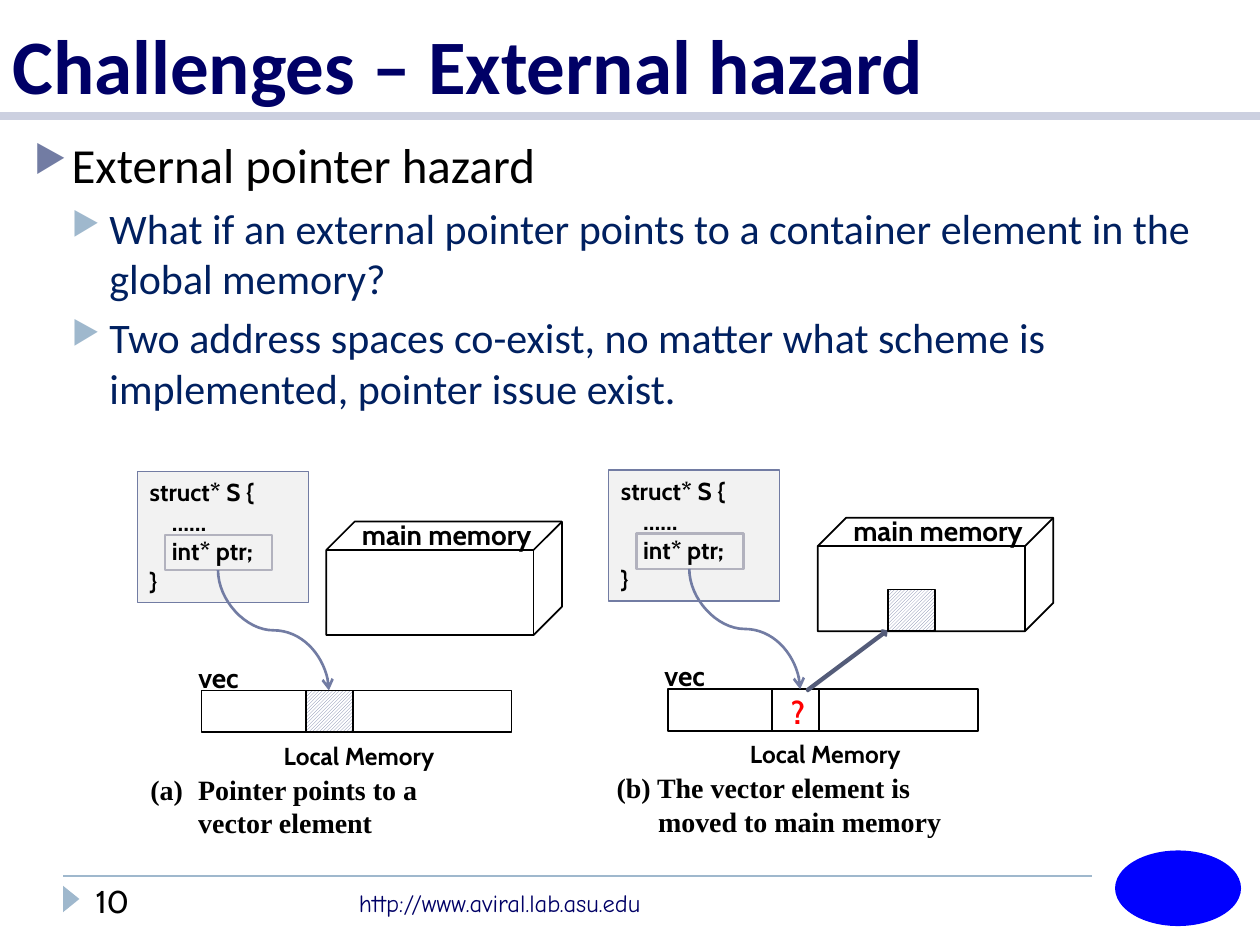
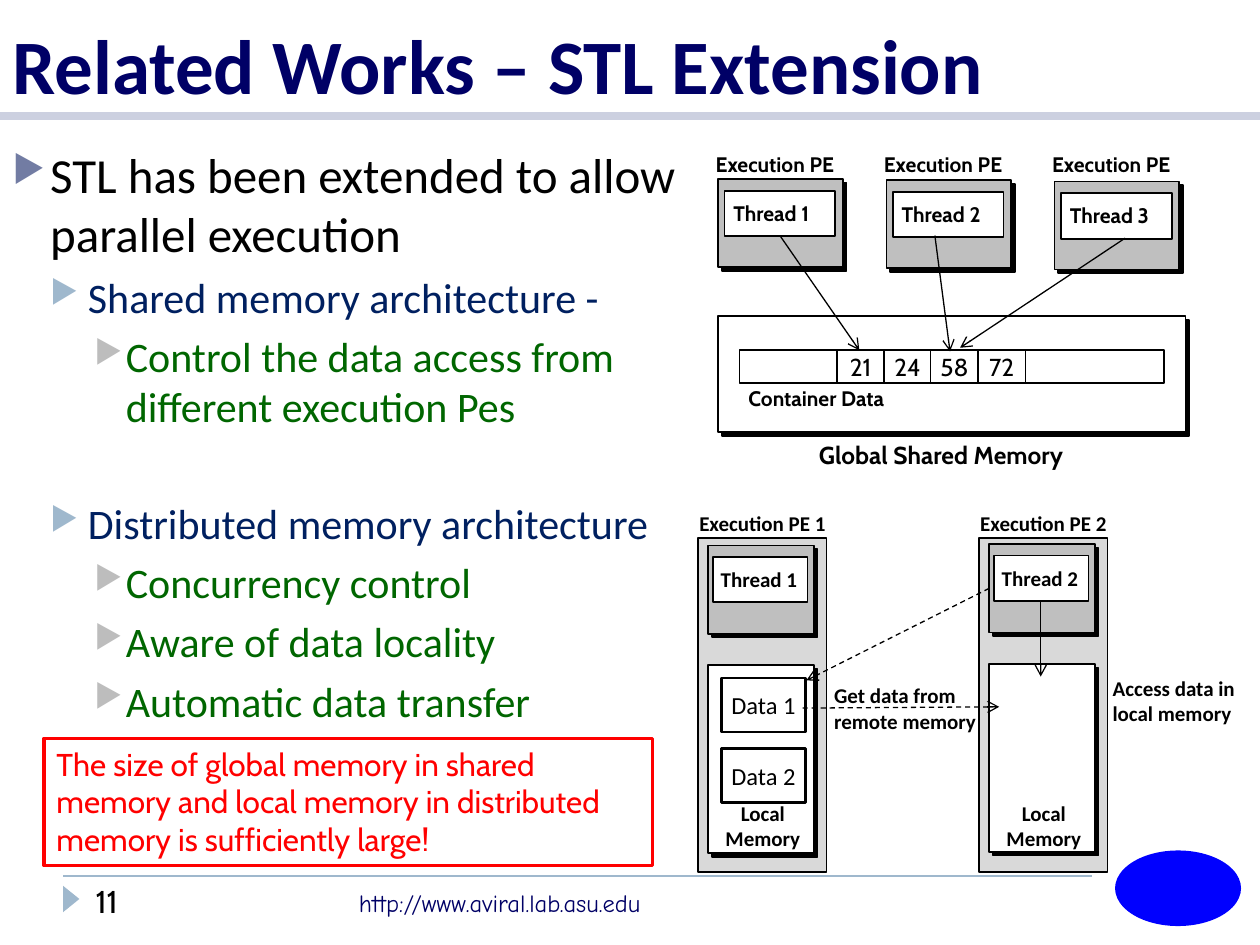
from lxml import etree
from pptx import Presentation
from pptx import util as u
from pptx.dml.color import RGBColor
from pptx.enum import dml, shapes, text
from pptx.oxml.ns import qn

deck = Presentation()
deck.slide_width, deck.slide_height = u.Inches(10), u.Inches(7.5)
COL, ROW = deck.slide_width / 100, deck.slide_height / 75  # grid of 100 x 75
hue = RGBColor.from_string
FORM, MID, LOW = shapes.MSO_SHAPE, text.MSO_ANCHOR.MIDDLE, text.MSO_ANCHOR.BOTTOM
BOX = FORM.RECTANGLE
BLACK, WHITE, NAVY, SLATE, MIST, RED = "000000", "FFFFFF", "000066", "727CA3", "9FB8CD", "FF0000"
GRAY, PALE = "BFBFBF", "D9D9D9"
# level: left edge, hang, space before, bullet colour, size, text colour
LEVELS = [(3, 3, 6, SLATE, 28, BLACK),
          (6, 3, 5, MIST, 24, "002060"),
          (9, 2.5, 5, "BDBDBD", 24, "006600")]


def put(x, y, w, h, lines=(), size=12, font="Cabin", ink=BLACK, bold=False, mid=False,
        form=None, fill=None, line=BLACK, thick=1, flush=False, anchor=text.MSO_ANCHOR.TOP,
        hatch=False, shade=False):
    """Place a text box, or a preset shape when form is given, by grid cells."""
    spot = [int(x * COL), int(y * ROW), int(w * COL), int(h * ROW)]
    if form is None:
        part = page.shapes.add_textbox(*spot)
    else:
        part = page.shapes.add_shape(form, *spot)
        part.shadow.inherit = False
        if hatch:
            part.fill.patterned()
            part.fill.pattern = dml.MSO_PATTERN.LIGHT_UPWARD_DIAGONAL
            part.fill.fore_color.rgb, part.fill.back_color.rgb = hue(SLATE), hue(WHITE)
        elif fill:
            part.fill.solid()
            part.fill.fore_color.rgb = hue(fill)
        else:
            part.fill.background()
        if line:
            part.line.color.rgb, part.line.width = hue(line), u.Pt(thick)
        else:
            part.line.fill.background()
        if shade:
            glow = etree.SubElement(part._element.spPr.find(qn("a:effectLst")), qn("a:outerShdw"),
                                    blurRad="0", dist="38100", dir="2700000", algn="tl", rotWithShape="0")
            etree.SubElement(glow, qn("a:srgbClr"), val=BLACK)
    frame = part.text_frame
    frame.word_wrap, frame.vertical_anchor = True, anchor
    if flush:
        frame.margin_left = frame.margin_right = frame.margin_top = frame.margin_bottom = 0
    for i, words in enumerate(lines):
        para = frame.add_paragraph() if i else frame.paragraphs[0]
        para.alignment = text.PP_ALIGN.CENTER if mid else text.PP_ALIGN.LEFT
        run = para.add_run()
        run.text = words
        run.font.size, run.font.name, run.font.bold = u.Pt(size), font, bold
        run.font.color.rgb = hue(ink)
    return part


def link(x1, y1, x2, y2, ink=BLACK, thick=0.75, tip=True, dash=False, curve=False):
    """Draw a line; a curve leaves and arrives vertically."""
    kind = shapes.MSO_CONNECTOR.STRAIGHT
    if curve:  # lay it out a quarter turn away, then rotate back
        kind = shapes.MSO_CONNECTOR.CURVE
        cx, cy, dx, dy = (x1 + x2) / 2, (y1 + y2) / 2, (x2 - x1) / 2, (y2 - y1) / 2
        x1, y1, x2, y2 = cx + dy, cy - dx, cx - dy, cy + dx
    wire = page.shapes.add_connector(kind, int(x1 * COL), int(y1 * ROW), int(x2 * COL), int(y2 * ROW))
    wire.line.color.rgb, wire.line.width = hue(ink), u.Pt(thick)
    if curve:
        wire._element.spPr.xfrm.set("rot", "16200000")
    if dash:
        wire.line.dash_style = dml.MSO_LINE.DASH
    if tip:
        etree.SubElement(wire.line._get_or_add_ln(), qn("a:tailEnd"), type="arrow")
    etree.SubElement(wire._element.spPr, qn("a:effectLst"))


# Shared frame, title and bullets; a bullet is (level, words, extra space before)
TALKS = [
    ("10", "Challenges – External hazard", (1.7, 10.2, 95.9, 24.8), [
        (0, "External pointer hazard", 0),
        (1, "What if an external pointer points to a container element in the global memory?", 0),
        (1, "Two address spaces co-exist, no matter what scheme is implemented, pointer issue exist.", 0)]),
    ("11", "Related Works – STL Extension", (0, 11, 56.6, 48.4), [
        (0, "STL has been extended to allow parallel execution", 0),
        (1, "Shared memory architecture -", 0),
        (2, "Control the data access from different execution Pes", 0),
        (1, "Distributed memory architecture", 33),
        (2, "Concurrency control", 0),
        (2, "Aware of data locality", 0),
        (2, "Automatic data transfer", 0)])]
for num, title, area, points in TALKS:
    page = deck.slides.add_slide(deck.slide_layouts[6])
    link(5, 69.5, 86.7, 69.5, MIST, 1, tip=False)
    link(0, 9.2, 100, 9.2, "CCD0E0", 5, tip=False)
    put(4.6, 70.7, 2.1, 1.3, form=FORM.ISOSCELES_TRIANGLE, fill=MIST, line=None).rotation = 90
    put(27.5, 70, 29.2, 3.4, ["http://www.aviral.lab.asu.edu"], 14, "Comic Neue", NAVY)
    put(88.5, 67.5, 10, 6, form=FORM.OVAL, fill="0000FF", line=None)
    put(0, 0, 100, 9.2, [title], 44, "Calibri", NAVY, True, anchor=LOW)
    put(6.6, 69.5, 14.1, 4, [num], 18)
    body = put(*area).text_frame
    for i, (level, words, extra) in enumerate(points):
        left, hang, gap, dot, size, ink = LEVELS[level]
        para = body.add_paragraph() if i else body.paragraphs[0]
        para.level = level
        props = para._p.get_or_add_pPr()
        props.set("marL", str(int(left * COL)))
        props.set("indent", str(int(-hang * COL)))
        etree.SubElement(etree.SubElement(props, qn("a:buClr")), qn("a:srgbClr"), val=dot)
        etree.SubElement(props, qn("a:buSzPct"), val="76000")
        etree.SubElement(props, qn("a:buChar"), char="▶")
        if i:
            para.space_before = u.Pt(gap + extra)
        run = para.add_run()
        run.text = words
        run.font.size, run.font.name, run.font.color.rgb = u.Pt(size), "Calibri", hue(ink)

# External hazard: two panels, each with struct, vector and main memory
page = deck.slides[0]
CODE = ["struct* S {", "    ……", "    int* ptr;", "}"]
PANELS = [
    (10.9, 37.4, 16, 54.8, 25.9, 41.4, 3.8, ["Pointer points to a", "vector element"]),
    (48.3, 37.3, 53, 54.7, 64.9, 41.1, 3.3, ["(b) The vector element is", "moved to main memory"])]
for i, (sx, sy, vx, vy, mx, my, hang, note) in enumerate(PANELS):
    put(vx + 8.3, vy, 3.7, 3.3, form=BOX, hatch=not i)
    put(vx, vy, 24.6, 3.3, form=BOX)
    put(vx - 1.25, vy - 2.9, 5.8, 3.7, ["vec"], 16, bold=True)
    put(vx + 1.1, vy + 3.5, 22.8, 3.4, ["Local Memory"], 14, bold=True, mid=True)
    put(mx, my, 18.7, 9, form=FORM.CUBE)
    put(mx + 0.5, my - 0.8, 18.1, 3.7, ["main memory"], 16, bold=True, mid=True)
    label = put(vx - 5.05, vy + 6, 35.6, 6.4, note, 16, "Times New Roman", bold=True)
    for para, shift in zip(label.text_frame.paragraphs, (-hang, 0)):
        props = para._p.get_or_add_pPr()
        props.set("marL", str(int(hang * COL)))
        props.set("indent", str(int(shift * COL)))
        if shift and not i:
            etree.SubElement(props, qn("a:buAutoNum"), type="alphaLcParenBoth")
    put(sx, sy, 13.6, 10.4, CODE, 14, bold=True, form=BOX, fill="F2F2F2", line=SLATE, thick=0.75)
    put(sx + 2.2, sy + 5.05, 8.5, 2.8, form=BOX, line="B2B2BE", thick=1.5)
    link(sx + 6.4, sy + 7.85, sx + 15.2, vy, SLATE, 1.5, curve=True)
put(61.8, 54.5, 3.2, 4, ["?"], 18, ink=RED, bold=True)
put(70.5, 46.8, 3.7, 3.3, form=BOX, hatch=True)
move = put(63.3, 52.2, 7.8, 0.5, form=FORM.RIGHT_ARROW, fill="464653", line="545C79", thick=1.5)
move.adjustments[0], move.adjustments[1] = 0.26, 0.41
move.rotation = 323.2

# Shared memory: three threads over one container
page = deck.slides[1]
for i in range(3):
    x, y = 57 + 13.35 * i, 14.2 + 0.1 * i
    put(x, y, 9.9, 7, form=BOX, fill=GRAY, shade=True)
    put(x + 0.5, y + 0.95, 8.8, 3.6, form=BOX, fill=WHITE)
    put(x + 1.2, y + 1.7, 7.9, 2, [f"Thread {i + 1}"], bold=True, flush=True)
    put(x - 0.2, 12, 10.7, 2, ["Execution PE"], bold=True, flush=True)
put(57, 25.1, 37.1, 9.2, form=BOX, fill=WHITE, shade=True)
put(58.7, 27.8, 33.7, 2.6, form=BOX, fill=WHITE)
for i, value in enumerate(["21", "24", "58", "72"]):
    put(66.4 + 3.73 * i, 27.8, 3.8, 2.6, [value], 14, mid=True, form=BOX, fill=WHITE,
        flush=True, anchor=MID)
put(65, 34.9, 24.3, 2.4, ["Global Shared Memory"], 14, bold=True, flush=True)
put(59.4, 30.6, 24.3, 2, ["Container Data"], bold=True, flush=True)
for ends in [(61.9, 18.7, 68.2, 27.8), (74.2, 18.7, 75.4, 27.9), (89.3, 18.9, 76.2, 27.6)]:
    link(*ends)

# Distributed memory: two elements with a thread and a local memory each
for i, x in enumerate([55.4, 77.7]):
    top = 43.3 - 0.1 * i
    put(x, 42.7, 10.2, 26.5, form=BOX, fill=PALE)
    put(x + 0.8, top, 8.4, 7, form=BOX, fill=GRAY, shade=True)
    put(x + 1.2, top + 0.9, 7.5, 3.6, form=BOX, fill=WHITE)
    put(x + 1.8, top + 1.7, 6.7, 2, [f"Thread {i + 1}"], font="Calibri", bold=True, flush=True)
    put(x + 0.1, 40.5, 10.3, 2, [f"Execution PE {i + 1}"], font="Calibri", bold=True, flush=True)
    put(x + 0.8, top + 9.5, 8.4, 14.9, form=BOX, fill=WHITE, shade=True)
    put(x + 1.85, 63.5, 6.6, 4, ["Local Memory"], font="Calibri", bold=True, mid=True, flush=True)
    put(57.25, 53.8 + 5.6 * i, 6.7, 4.3, [f"Data {i + 1}"], 14, "Calibri", mid=True,
        form=BOX, thick=1.5, flush=True, anchor=MID)
link(63.7, 56.2, 79.3, 56.1, dash=True)
link(78.5, 46.7, 64, 54, dash=True)
link(82.6, 47.7, 82.6, 53.7)
put(66.2, 54.2, 11.5, 4, ["Get data from remote memory"], font="Calibri", bold=True, flush=True)
put(88.3, 53.6, 10.2, 4, ["Access data in local memory"], font="Calibri", bold=True, flush=True)
put(3.5, 58.6, 48.3, 10.1,
    ["The size of global memory in shared memory and local memory in distributed memory "
     "is sufficiently large!"], 18, ink=RED, form=BOX, line=RED, thick=2)

deck.save("out.pptx")
